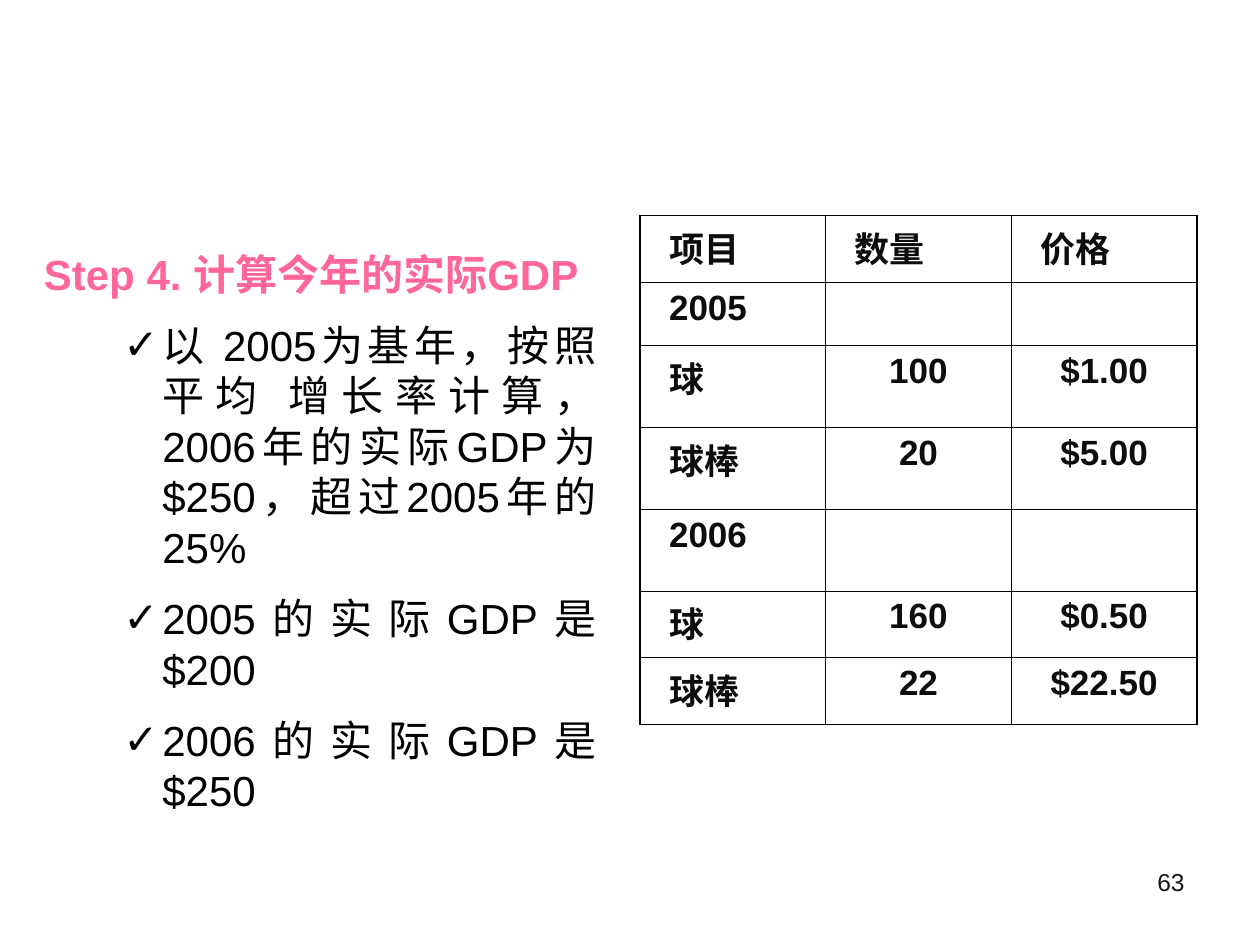
import pptx
import pptx.dml.color
import pptx.enum.lang
import pptx.enum.text
import pptx.oxml.ns
import pptx.util
from lxml import etree

Inches = pptx.util.Inches
Pt = pptx.util.Pt
ALIGN = pptx.enum.text.PP_ALIGN
qn = pptx.oxml.ns.qn

PINK = pptx.dml.color.RGBColor(0xFF, 0x66, 0x99)
BLACK = pptx.dml.color.RGBColor(0x00, 0x00, 0x00)
INK = pptx.dml.color.RGBColor(0x0D, 0x0D, 0x0D)
GREY = pptx.dml.color.RGBColor(0x16, 0x16, 0x16)

HEADING = "Step 4. 计算今年的实际GDP"
POINTS = [
    "以 2005为基年，按照平均 增长率计算，2006年的实际GDP为$250，超过2005年的25%",
    "2005的实际GDP是$200",
    "2006的实际GDP是$250",
]
ROWS = [
    ("项目", "数量", "价格"),
    ("2005", "", ""),
    ("球", "100", "$1.00"),
    ("球棒", "20", "$5.00"),
    ("2006", "", ""),
    ("球", "160", "$0.50"),
    ("球棒", "22", "$22.50"),
]
ROW_HEIGHTS = [0.53, 0.5, 0.65, 0.65, 0.65, 0.53, 0.53]


class SlideBuilder:
    font_name = "Arial"
    thin = Pt(0.45)
    thick = Pt(1.08)

    def __init__(self, deck):
        self.page = deck.slides.add_slide(deck.slide_layouts[6])

    def format_runs(self, para, size, color, bold=False):
        for span in para.runs:
            span.font.name = self.font_name
            span.font.size = Pt(size)
            span.font.bold = bold
            span.font.color.rgb = color
            span.font.language_id = pptx.enum.lang.MSO_LANGUAGE_ID.SIMPLIFIED_CHINESE

    def indent(self, para, margin, first=0):
        properties = para._p.get_or_add_pPr()
        properties.set("marL", str(Inches(margin)))
        properties.set("indent", str(Inches(first)))
        return properties

    def add_check(self, para):
        properties = self.indent(para, 0.94, -0.31)
        color = etree.SubElement(properties, qn("a:buClr"))
        etree.SubElement(color, qn("a:srgbClr"), val=str(BLACK))
        etree.SubElement(properties, qn("a:buFont"), typeface=self.font_name)
        etree.SubElement(properties, qn("a:buChar"), char="✓")

    def add_box(self, left, top, width, height):
        box = self.page.shapes.add_textbox(
            Inches(left), Inches(top), Inches(width), Inches(height))
        box.text_frame.word_wrap = True
        return box.text_frame

    def add_steps(self, heading, points):
        frame = self.add_box(0.25, 1.92, 4.58, 4.45)
        frame.text = "\n".join([heading, *points])
        for index, para in enumerate(frame.paragraphs):
            para.level = 1
            para.alignment = ALIGN.JUSTIFY
            para.space_after = Pt(6)
            if index == 0:
                self.indent(para, 0)
                self.format_runs(para, 24, PINK, True)
            else:
                para.space_before = Pt(6)
                self.add_check(para)
                self.format_runs(para, 24, BLACK)

    def add_page_number(self, number):
        frame = self.add_box(7.17, 6.83, 2.33, 0.52)
        frame.text = number
        para = frame.paragraphs[0]
        para.alignment = ALIGN.RIGHT
        self.format_runs(para, 14, GREY)

    def add_borders(self, cell, outer_sides):
        properties = cell._tc.get_or_add_tcPr()
        for side in "LRTB":
            width = self.thick if side in outer_sides else self.thin
            line = etree.SubElement(properties, qn(f"a:ln{side}"), w=str(width))
            fill = etree.SubElement(line, qn("a:solidFill"))
            etree.SubElement(fill, qn("a:srgbClr"), val=str(BLACK))

    def fill_cell(self, cell, text, is_label):
        cell.fill.background()
        cell.text_frame.text = text
        para = cell.text_frame.paragraphs[0]
        para.space_after = Pt(5)
        if is_label:
            para.level = 1
            self.indent(para, 0.13)
        else:
            para.alignment = ALIGN.CENTER
        self.format_runs(para, 20, INK, True)

    def add_price_table(self, rows, heights):
        last_row, last_column = len(rows) - 1, len(rows[0]) - 1
        table = self.page.shapes.add_table(
            len(rows), len(rows[0]), Inches(5.08), Inches(1.71),
            Inches(4.42), Inches(sum(heights))).table
        table.first_row = False
        table.horz_banding = False
        for row_index, (row, height) in enumerate(zip(rows, heights)):
            table.rows[row_index].height = Inches(height)
            for column_index, text in enumerate(row):
                cell = table.cell(row_index, column_index)
                edges = {"L": column_index == 0, "R": column_index == last_column,
                         "T": row_index == 0, "B": row_index == last_row}
                self.add_borders(cell, [side for side in edges if edges[side]])
                self.fill_cell(cell, text, row_index == 0 or column_index == 0)


def main():
    deck = pptx.Presentation()
    deck.slide_width = Inches(10)
    deck.slide_height = Inches(7.5)
    builder = SlideBuilder(deck)
    builder.add_steps(HEADING, POINTS)
    builder.add_page_number("63")
    builder.add_price_table(ROWS, ROW_HEIGHTS)
    deck.save("out.pptx")


if __name__ == "__main__":
    main()
